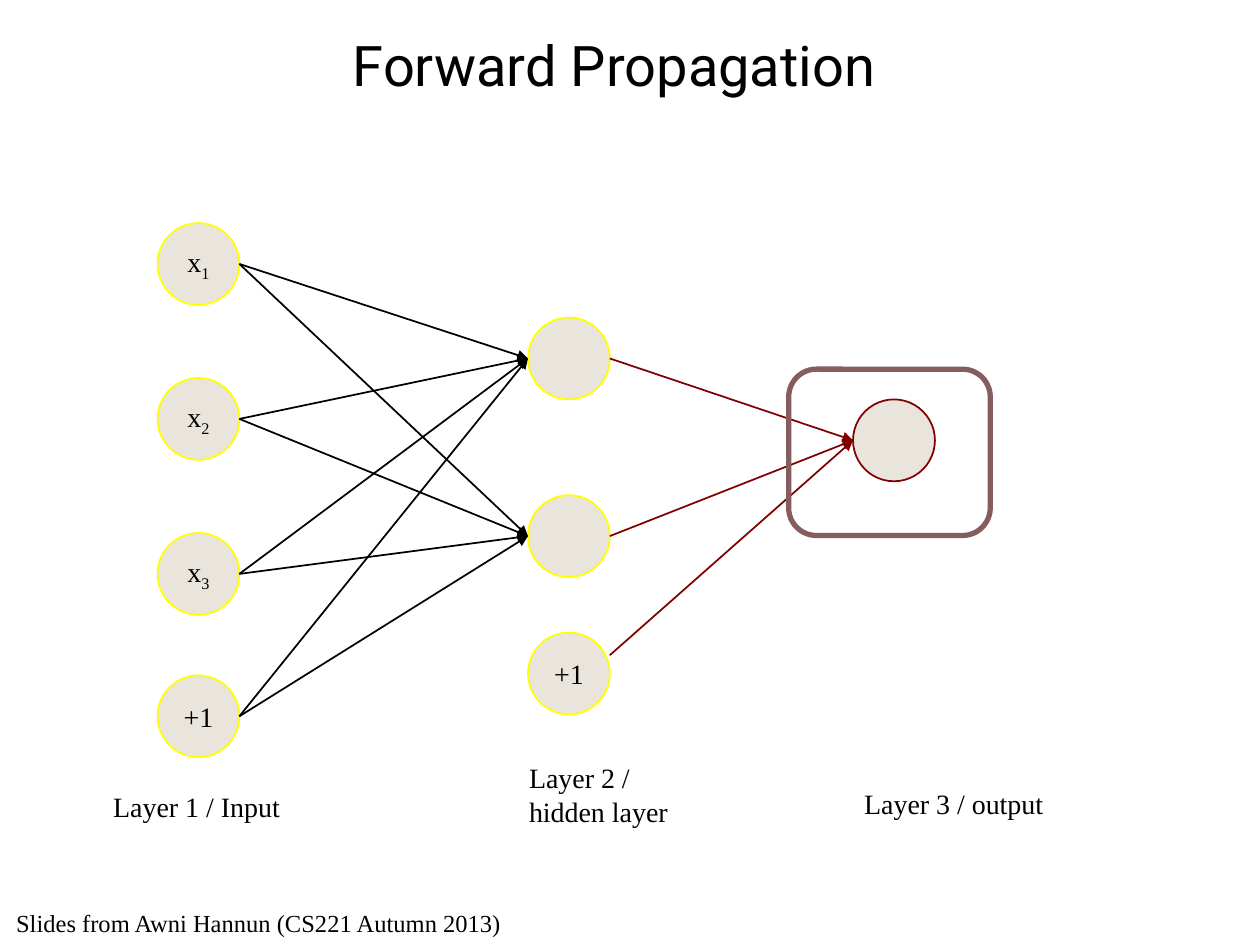
from itertools import product

from lxml.etree import SubElement
from pptx import Presentation
from pptx.dml.color import RGBColor
from pptx.enum.shapes import MSO_CONNECTOR as LINK, MSO_SHAPE as SHAPE
from pptx.enum.text import MSO_ANCHOR as ANCHOR, PP_ALIGN as ALIGN
from pptx.oxml.ns import qn
from pptx.util import Inches, Pt

BLACK, MAROON, YELLOW, SAND, MAUVE = "000000", "800000", "FFFF00", "E9E5DC", "855D5D"
SERIF = "Times New Roman"
SIZE = 0.65  # diameter of a node
COLUMNS = (1.25, 4.19, 6.77)  # left edge of each layer


def color(value):
    return RGBColor.from_string(value)


def write(para, text, size=16, font=SERIF, subscript=False):
    span = para.add_run()
    span.text = text
    span.font.size, span.font.name = Pt(size), font
    span.font.color.rgb = color(BLACK)
    if subscript:
        span.font._element.set("baseline", "-25000")


deck = Presentation()
deck.slide_width, deck.slide_height = Inches(10), Inches(7.5)
page = deck.slides.add_slide(deck.slide_layouts[6])

# Nodes: layer, top, label, subscript, outline
nodes = [(0, 1.77 + 1.23 * row, "x", str(row + 1), YELLOW) for row in range(3)]
nodes += [
    (0, 5.36, "+1", "", YELLOW),
    (1, 2.52, "", "", YELLOW),
    (1, 3.93, "", "", YELLOW),
    (1, 5.02, "+1", "", YELLOW),
    (2, 3.17, "", "", MAROON),
]
for layer, top, label, index, outline in nodes:
    node = page.shapes.add_shape(SHAPE.OVAL, Inches(COLUMNS[layer]), Inches(top),
                                 Inches(SIZE), Inches(SIZE))
    node.shadow.inherit = False
    node.fill.solid()
    node.fill.fore_color.rgb = color(SAND)
    node.line.color.rgb = color(outline)
    node.line.width = Pt(1)
    frame = node.text_frame
    frame.word_wrap = False
    frame.vertical_anchor = ANCHOR.MIDDLE
    para = frame.paragraphs[0]
    para.alignment = ALIGN.CENTER
    if label:
        write(para, label)
    if index:
        write(para, index, subscript=True)

# Arrows: each input to each hidden unit, then each hidden unit to the output
middles = [[top + SIZE / 2 for layer, top, *_ in nodes if layer == number]
           for number in range(3)]
middles[1][2] = 5.2  # the bias arrow leaves above the middle of its node
arrows = [(0, start, end, BLACK) for start, end in product(middles[0], middles[1][:2])]
arrows += [(1, start, end, MAROON) for start, end in product(middles[1], middles[2])]
for layer, start, end, ink in arrows:
    arrow = page.shapes.add_connector(LINK.STRAIGHT, Inches(COLUMNS[layer] + SIZE), Inches(start),
                                      Inches(COLUMNS[layer + 1]), Inches(end))
    arrow.line.color.rgb = color(ink)
    arrow.line.width = Pt(1)
    SubElement(arrow.line._get_or_add_ln(), qn("a:tailEnd"), type="triangle")
    SubElement(arrow._element.spPr, qn("a:effectLst"))

# Texts: left, top, width, height, lines, size, font
texts = [
    (0.8, 6.22, 1.88, 0.37, ["Layer 1 / Input"], 16, SERIF),
    (4.1, 5.99, 2.09, 0.64, ["Layer 2 /", "hidden layer"], 16, SERIF),
    (6.76, 6.19, 2.18, 0.37, ["Layer 3 / output"], 16, SERIF),
    (0.03, 7.16, 4.74, 0.34, ["Slides from Awni Hannun (CS221 Autumn 2013)"], 14, SERIF),
    (2.01, 0.15, 5.73, 0.72, ["Forward Propagation"], 32, "Roboto"),
]
for *place, lines, size, font in texts:
    frame = page.shapes.add_textbox(*map(Inches, place)).text_frame
    frame.word_wrap = True
    for number, line in enumerate(lines):
        para = frame.add_paragraph() if number else frame.paragraphs[0]
        write(para, line, size, font)

# The title is the last text
frame.vertical_anchor = ANCHOR.MIDDLE
para.alignment = ALIGN.CENTER

highlight = page.shapes.add_shape(SHAPE.ROUNDED_RECTANGLE, Inches(6.26), Inches(2.93),
                                  Inches(1.6), Inches(1.32))
highlight.shadow.inherit = False
highlight.fill.background()
highlight.line.color.rgb = color(MAUVE)
highlight.line.width = Pt(3)

deck.save("out.pptx")
